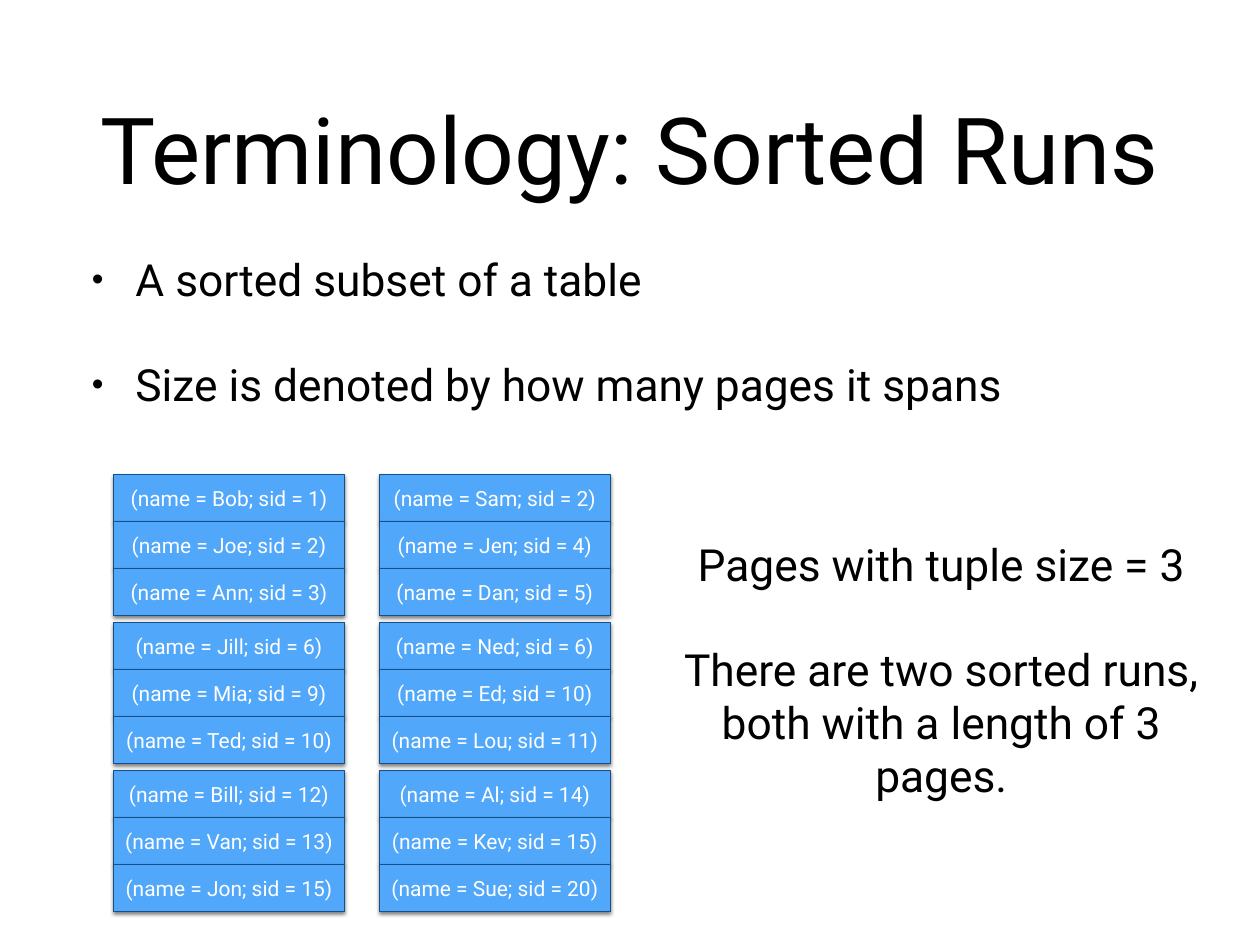
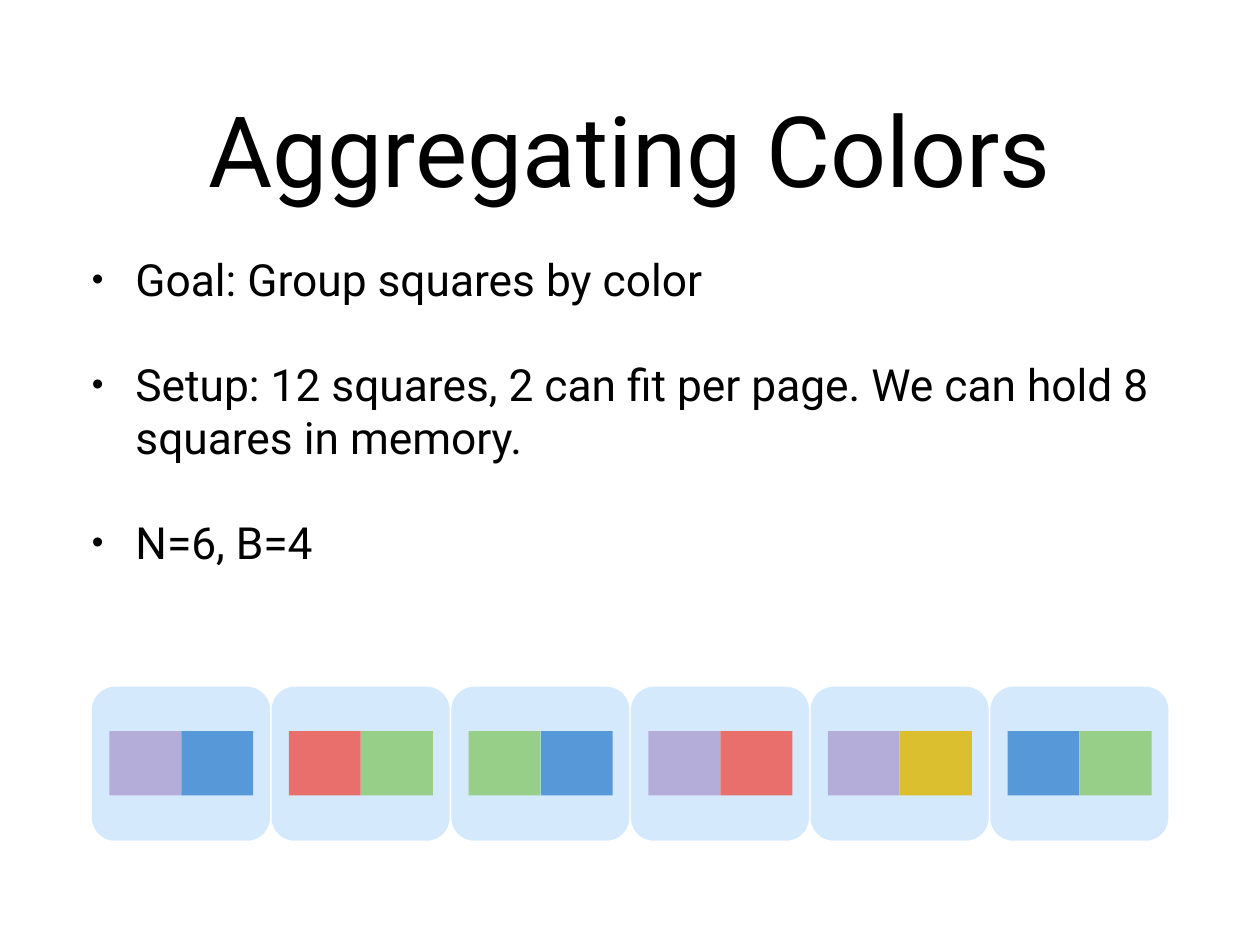
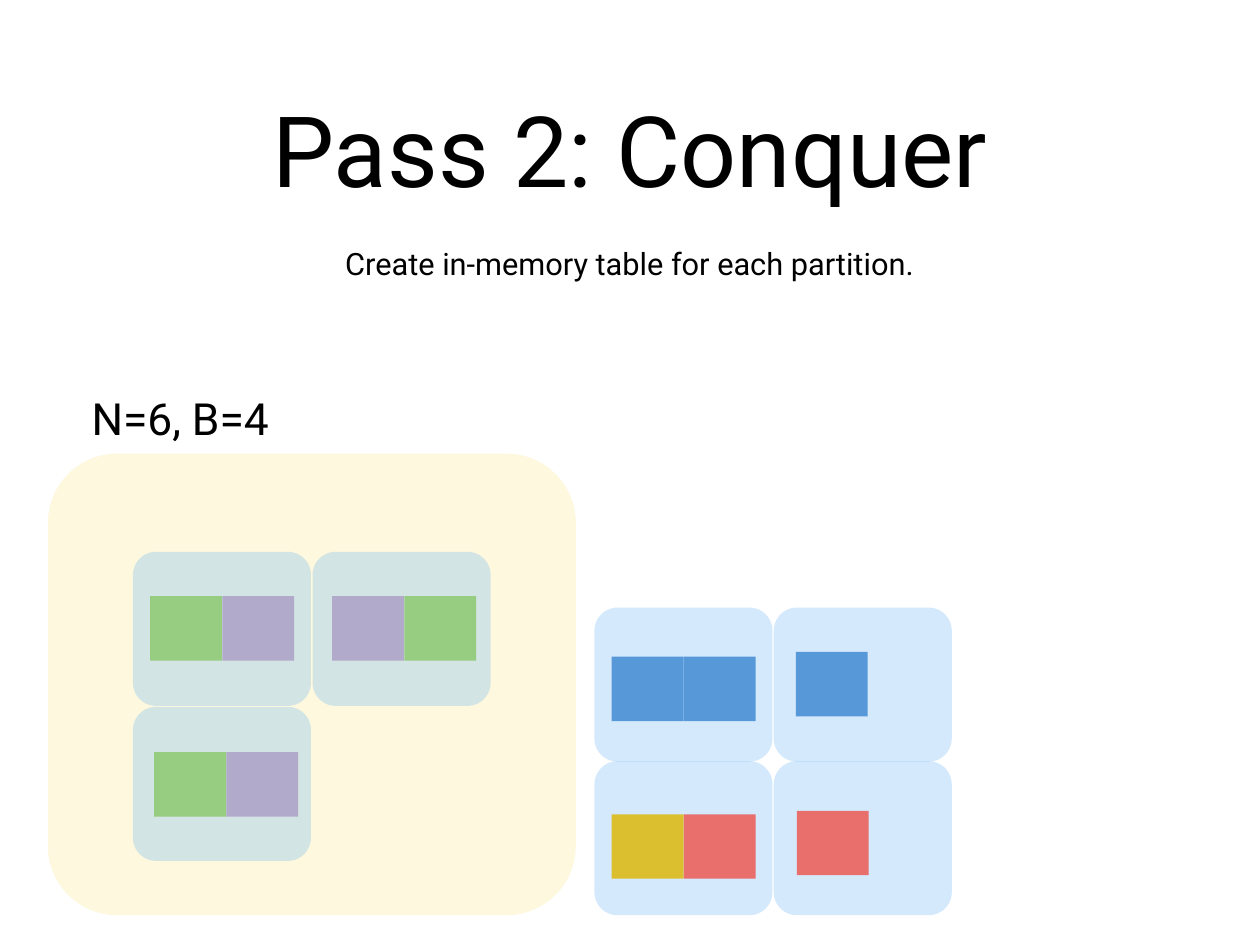
from dataclasses import dataclass
from itertools import product

from lxml.etree import SubElement
from pptx import Presentation
from pptx.dml.color import RGBColor
from pptx.enum.shapes import MSO_SHAPE as Preset
from pptx.enum.text import MSO_ANCHOR as Anchor, MSO_AUTO_SIZE as AutoSize, PP_ALIGN as Align
from pptx.oxml.ns import qn
from pptx.util import Emu, Inches, Pt

WIDTH, HEIGHT = Inches(14.22), Inches(10.67)
FONT = "Roboto"
BLACK, WHITE = "000000", "FFFFFF"
TUPLE_FILL, TUPLE_LINE = "51A7F9", "164F86"


@dataclass(frozen=True)
class Area:
    """Percentages of the slide's width and height."""
    left: float
    top: float
    width: float
    height: float

    def emu(self) -> tuple:
        return tuple(Emu(round(share * side / 100)) for share, side in
                     zip((self.left, self.top, self.width, self.height),
                         (WIDTH, HEIGHT, WIDTH, HEIGHT)))


@dataclass(frozen=True)
class Tint:
    hex: str
    opacity: int


@dataclass(frozen=True)
class Page:
    column: int
    row: int
    squares: tuple
    inset_x: float = 1.37
    inset_y: float = 4.69


@dataclass(frozen=True)
class PageGrid:
    left: float
    top: float
    column_pitch: float
    row_pitch: float
    pages: tuple


PURPLE = Tint("773F9B", 35)
BLUE = Tint("0365C0", 60)
RED = Tint("EC5D57", 87)
GREEN = Tint("70BF41", 61)
YELLOW = Tint("DCBD23", 94)
PAGE_TINT = Tint("51A7F9", 24)
MEMORY_TINT = Tint("F5D328", 15)

TITLE_AREA = Area(7.3, 4.6, 85.4, 22.1)
PAGE_WIDTH, PAGE_HEIGHT = 14.13, 16.3
SQUARE_WIDTH, SQUARE_HEIGHT, SQUARE_PITCH = 5.7, 6.82, 5.73
TUPLE_WIDTH, TUPLE_HEIGHT = 18.35, 4.97
RUN_PITCH, PAGE_PITCH = 21.1, 15.66
TUPLES_PER_PAGE = 3

SORTED_RUNS = (
    (("Bob", 1), ("Joe", 2), ("Ann", 3), ("Jill", 6), ("Mia", 9),
     ("Ted", 10), ("Bill", 12), ("Van", 13), ("Jon", 15)),
    (("Sam", 2), ("Jen", 4), ("Dan", 5), ("Ned", 6), ("Ed", 10),
     ("Lou", 11), ("Al", 14), ("Kev", 15), ("Sue", 20)),
)

INPUT_PAIRS = ((PURPLE, BLUE), (RED, GREEN), (GREEN, BLUE),
               (PURPLE, RED), (PURPLE, YELLOW), (BLUE, GREEN))
INPUT_PAGES = PageGrid(7.3, 72.67, 14.26, PAGE_HEIGHT, tuple(
    Page(column, 0, pair) for column, pair in enumerate(INPUT_PAIRS)))
MEMORY_PAGES = PageGrid(10.55, 58.4, 14.26, 16.4, (
    Page(0, 0, (GREEN, PURPLE)),
    Page(1, 0, (PURPLE, GREEN), inset_x=1.55),
    Page(0, 1, (GREEN, PURPLE), inset_x=1.69, inset_y=4.8),
))
DISK_PAGES = PageGrid(47.18, 64.3, 14.23, 16.25, (
    Page(0, 0, (BLUE, BLUE), inset_y=5.2),
    Page(1, 0, (BLUE,), inset_x=1.76),
    Page(0, 1, (YELLOW, RED), inset_y=5.62),
    Page(1, 1, (RED,), inset_x=1.83, inset_y=5.25),
))


def colour(code: str) -> RGBColor:
    return RGBColor.from_string(code)


def write(frame, *lines: str, size: float, ink: str = BLACK, align=Align.CENTER,
          anchor=Anchor.MIDDLE, gap: float = 0, margin: float = 0,
          wrap: bool = True, bullet: bool = False) -> None:
    frame.auto_size = AutoSize.NONE
    frame.word_wrap = wrap
    frame.vertical_anchor = anchor
    frame.margin_left = frame.margin_right = Inches(margin)
    frame.margin_top = frame.margin_bottom = Inches(margin)
    for index, line in enumerate(lines):
        paragraph = frame.paragraphs[0] if index == 0 else frame.add_paragraph()
        paragraph.alignment = align
        paragraph.space_before = Pt(gap if index else 0)
        run = paragraph.add_run()
        run.text = line
        run.font.name, run.font.size = FONT, Pt(size)
        run.font.color.rgb = colour(ink)
        if bullet:
            add_bullet(paragraph)


def add_bullet(paragraph) -> None:
    properties = paragraph._p.get_or_add_pPr()
    hanging = Inches(0.49)
    properties.set("marL", str(hanging))
    properties.set("indent", str(-hanging))
    SubElement(properties, qn("a:buSzPct"), val="75000")
    SubElement(properties, qn("a:buChar"), char="•")


def place(shape, area: Area) -> None:
    shape.left, shape.top, shape.width, shape.height = area.emu()


def add_titled_slide(deck, layout: int, title: str, size: float = 80):
    slide = deck.slides.add_slide(deck.slide_layouts[layout])
    place(slide.shapes.title, TITLE_AREA)
    write(slide.shapes.title.text_frame, title, size=size)
    return slide


def add_bullets(slide, height: float, *points: str) -> None:
    body = slide.placeholders[1]
    place(body, Area(7.3, 26.7, 85.4, height))
    write(body.text_frame, *points, size=36, align=Align.LEFT,
          anchor=Anchor.TOP, gap=42, bullet=True)


def add_label(slide, area: Area, *lines: str, **text_format) -> None:
    label = slide.shapes.add_textbox(*area.emu())
    write(label.text_frame, *lines, margin=0.06, **text_format)


def add_block(slide, area: Area, tint: Tint, rounded: bool = False) -> None:
    preset = Preset.ROUNDED_RECTANGLE if rounded else Preset.RECTANGLE
    block = slide.shapes.add_shape(preset, *area.emu())
    if rounded:
        block.adjustments[0] = 0.15
    block.shadow.inherit = False
    block.line.fill.background()
    block.fill.solid()
    block.fill.fore_color.rgb = colour(tint.hex)
    fill = block.element.spPr.find(f"{qn('a:solidFill')}/{qn('a:srgbClr')}")
    SubElement(fill, qn("a:alpha"), val=str(tint.opacity * 1000))


def add_tuple(slide, area: Area, text: str) -> None:
    row = slide.shapes.add_shape(Preset.RECTANGLE, *area.emu())
    row.fill.solid()
    row.fill.fore_color.rgb = colour(TUPLE_FILL)
    row.line.color.rgb = colour(TUPLE_LINE)
    row.line.width = Pt(0.25)
    row.shadow.inherit = False
    effects = row.element.spPr.find(qn("a:effectLst"))
    shadow = SubElement(effects, qn("a:outerShdw"), blurRad=str(Pt(3)),
                        dist=str(Pt(2)), dir="5400000", rotWithShape="0")
    shade = SubElement(shadow, qn("a:srgbClr"), val=BLACK)
    SubElement(shade, qn("a:alpha"), val="50000")
    write(row.text_frame, text, size=17, ink=WHITE)


def add_pages(slide, grid: PageGrid) -> None:
    for page in grid.pages:
        left = grid.left + page.column * grid.column_pitch
        top = grid.top + page.row * grid.row_pitch
        add_block(slide, Area(left, top, PAGE_WIDTH, PAGE_HEIGHT), PAGE_TINT, rounded=True)
        for index, tint in enumerate(page.squares):
            add_block(slide, Area(left + page.inset_x + index * SQUARE_PITCH,
                                  top + page.inset_y, SQUARE_WIDTH, SQUARE_HEIGHT), tint)


def build_sorted_runs(deck) -> None:
    slide = add_titled_slide(deck, 1, "Terminology: Sorted Runs", size=75.2)
    add_bullets(slide, 23.1, "A sorted subset of a table",
                "Size is denoted by how many pages it spans")
    for run, position in product(range(len(SORTED_RUNS)), range(len(SORTED_RUNS[0]))):
        page, row = divmod(position, TUPLES_PER_PAGE)
        name, sid = SORTED_RUNS[run][position]
        add_tuple(slide, Area(9 + run * RUN_PITCH,
                              50.2 + page * PAGE_PITCH + row * TUPLE_HEIGHT,
                              TUPLE_WIDTH, TUPLE_HEIGHT),
                  f"(name = {name}; sid = {sid})")
    add_label(slide, Area(53.3, 56.25, 42.8, 29.1), "Pages with tuple size = 3",
              "There are two sorted runs, both with a length of 3 pages.",
              size=36, gap=42)


def build_aggregating(deck) -> None:
    slide = add_titled_slide(deck, 1, "Aggregating Colors")
    add_bullets(slide, 39.4, "Goal: Group squares by color",
                "Setup: 12 squares, 2 can fit per page. We can hold 8 squares in memory.",
                "N=6, B=4")
    add_pages(slide, INPUT_PAGES)


def build_conquer(deck) -> None:
    slide = add_titled_slide(deck, 5, "Pass 2: Conquer")
    add_label(slide, Area(6.2, 40.9, 16.2, 6.7), "N=6, B=4", size=36, wrap=False)
    add_label(slide, Area(20, 25.3, 59.9, 8.8),
              "Create in-memory table for each partition.", size=25, anchor=Anchor.TOP)
    add_block(slide, Area(3.8, 48, 41.9, 48.85), MEMORY_TINT, rounded=True)
    add_pages(slide, MEMORY_PAGES)
    add_pages(slide, DISK_PAGES)


def main() -> None:
    deck = Presentation()
    deck.slide_width, deck.slide_height = WIDTH, HEIGHT
    build_sorted_runs(deck)
    build_aggregating(deck)
    build_conquer(deck)
    deck.save("out.pptx")


if __name__ == "__main__":
    main()
